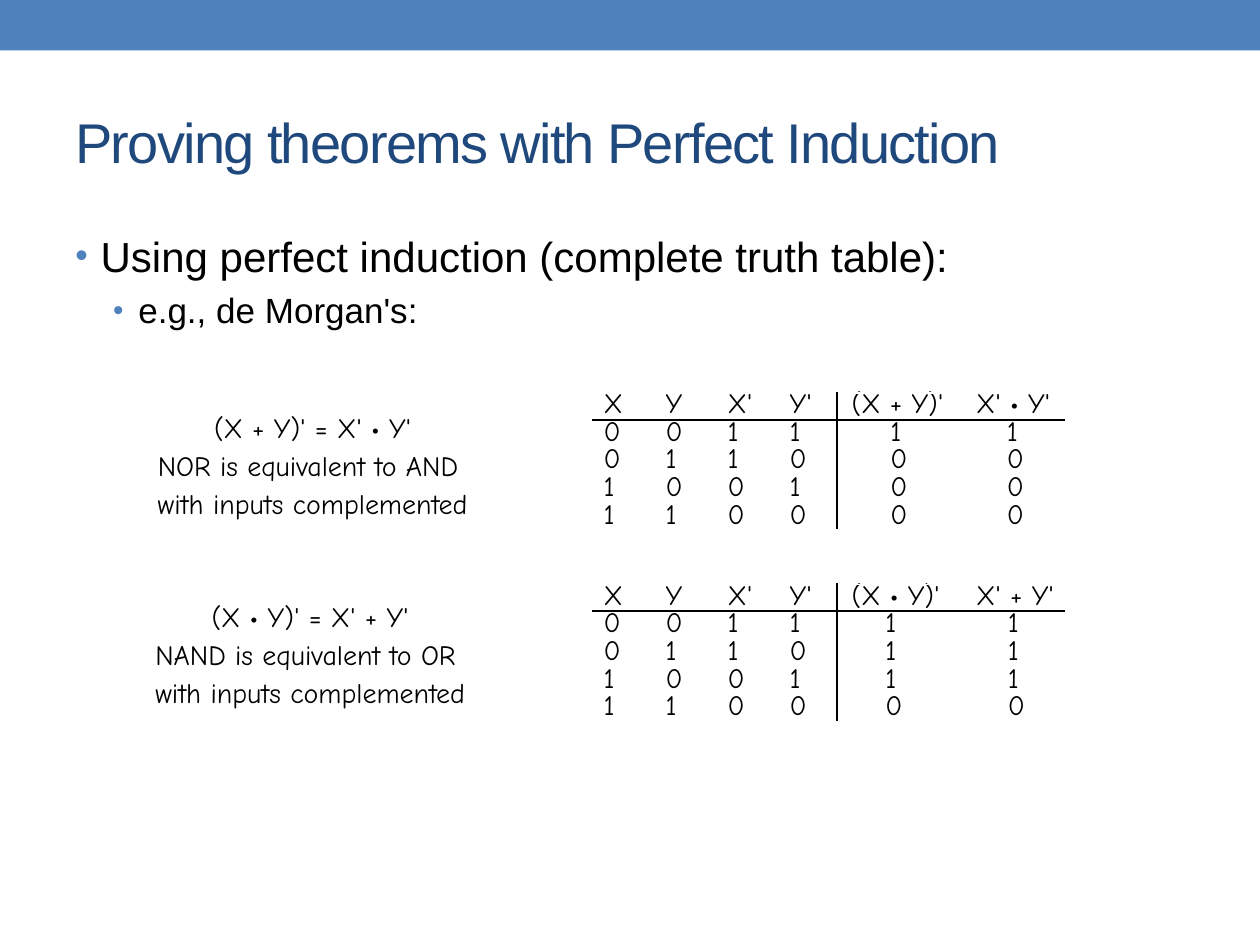
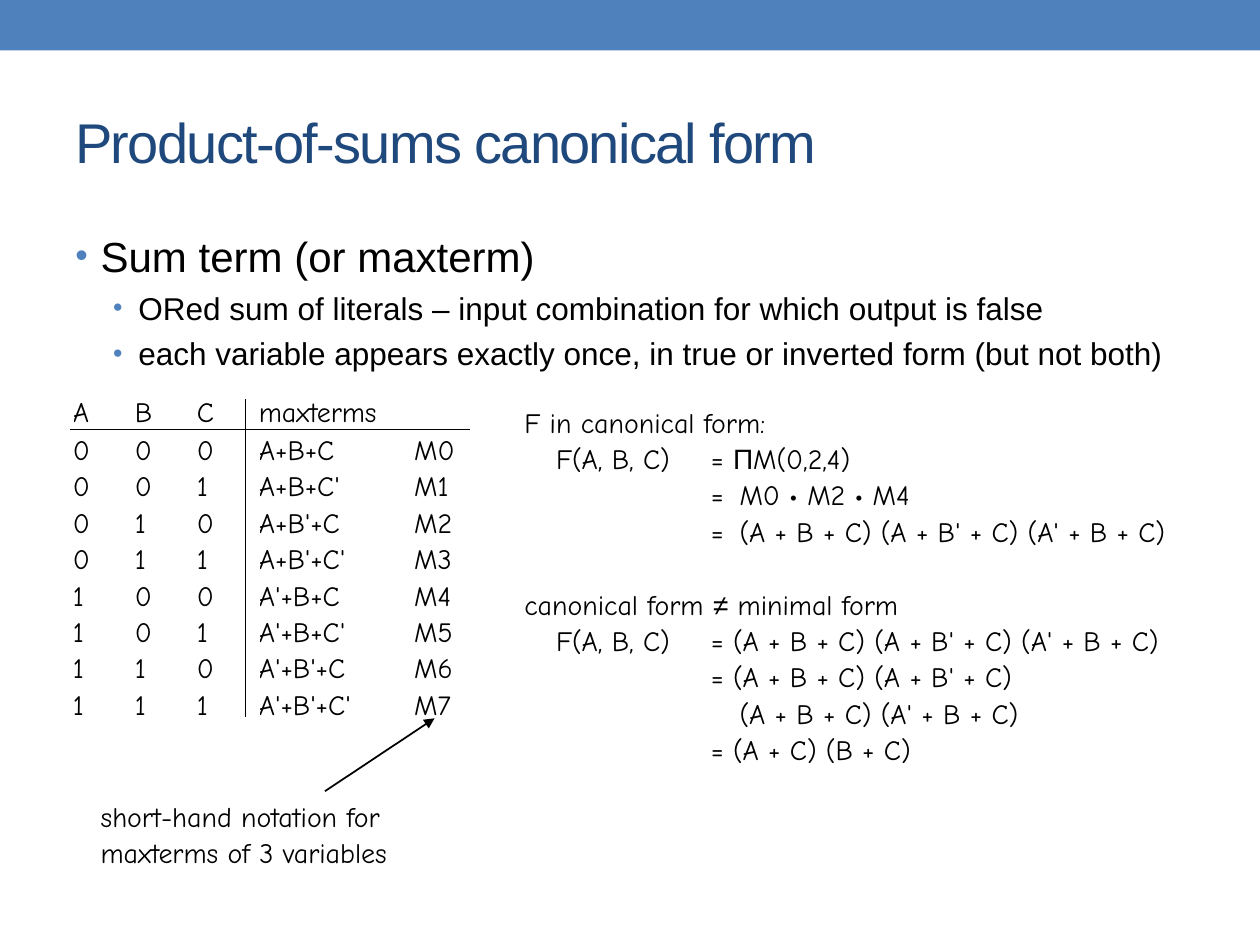
import itertools

import pptx
import pptx.dml.color
import pptx.enum.shapes
import pptx.enum.text
import pptx.oxml.ns
import pptx.util
from lxml import etree

Cm, Pt = pptx.util.Cm, pptx.util.Pt
ALIGN = pptx.enum.text.PP_ALIGN
ANCHOR = pptx.enum.text.MSO_ANCHOR
qn = pptx.oxml.ns.qn


class Theme:
    blue, navy, black = "4F81BD", "1F497D", "000000"
    sans, hand = "Arial", "Comic Neue"
    title, lead, sub, small, note = 32, 24, 20, 18, 16
    rule = 1
    symbols = "Π≠"  # drawn in the sans face


def put(target, values):
    for name, value in values.items():
        setattr(target, name, value)


def rgb(code):
    return pptx.dml.color.RGBColor.from_string(code)


def add(parent, tag, **values):
    return etree.SubElement(parent, qn(tag), values)


class Deck:
    """Holds the style and the slide being built."""

    def __init__(self, theme):
        self.theme = theme
        self.show = pptx.Presentation()
        put(self.show, {"slide_width": Cm(25.4), "slide_height": Cm(19.05)})
        self.slide = None

    def page(self, title, bullets):
        self.slide = self.show.slides.add_slide(self.show.slide_layouts[6])
        self.band()
        self.title(title)
        self.bullets(bullets)

    def band(self):
        kind = pptx.enum.shapes.MSO_SHAPE.RECTANGLE
        bar = self.slide.shapes.add_shape(kind, 0, 0, Cm(25.4), Cm(1.02))
        bar.shadow.inherit = False
        bar.fill.solid()
        bar.fill.fore_color.rgb = rgb(self.theme.blue)
        bar.line.fill.background()

    def frame(self, left, top, width, height, **values):
        box = self.slide.shapes.add_textbox(Cm(left), Cm(top), Cm(width), Cm(height))
        put(box.text_frame, {"word_wrap": True, **values})
        return box.text_frame

    def run(self, para, text, size, color, face):
        part = para.add_run()
        part.text = text
        put(part.font, {"size": Pt(size), "name": face})
        part.font.color.rgb = rgb(color)
        return part

    def title(self, text):
        frame = self.frame(1.27, 1.47, 22.86, 2.74, vertical_anchor=ANCHOR.MIDDLE)
        look = self.theme
        part = self.run(frame.paragraphs[0], text, look.title, look.navy, look.sans)
        part.font._element.set("spc", "-100")

    def bullets(self, items):
        frame = self.frame(1.27, 4.52, 22.86, 13.5)
        look = self.theme
        for index, (level, size, text) in enumerate(items):
            para = frame.add_paragraph() if index else frame.paragraphs[0]
            para.level = level
            if index:
                para.space_before = Pt(4.5)
            props = para._p.get_or_add_pPr()
            props.set("marL", str(Cm(0.51 + 0.76 * level)))
            props.set("indent", str(-Cm(0.51)))
            add(add(props, "a:buClr"), "a:srgbClr", val=look.blue)
            add(props, "a:buSzPct", val="85000")
            add(props, "a:buFont", typeface=look.sans)
            add(props, "a:buChar", char="•")
            self.run(para, text, size, look.black, look.sans)

    def letter(self, para, text, pitch):
        """One hand-lettered line, with its symbols in the sans face."""
        look = self.theme
        para.line_spacing = Pt(pitch)
        for plain, chars in itertools.groupby(text, lambda c: c not in look.symbols):
            face = look.hand if plain else look.sans
            self.run(para, "".join(chars), look.note, look.black, face)

    def note(self, place, texts, pitch, align=ALIGN.LEFT, stops=(), gaps=()):
        """A note; the lines listed in gaps get an empty line's space before."""
        side, edge = Cm(0.05), Cm(0.08)
        frame = self.frame(*place, word_wrap=False, margin_left=side,
                           margin_right=side, margin_top=edge, margin_bottom=edge)
        for index, text in enumerate(texts):
            para = frame.add_paragraph() if index else frame.paragraphs[0]
            para.alignment = align
            if index in gaps:
                para.space_before = Pt(pitch)
            if stops:
                tabs = add(para._p.get_or_add_pPr(), "a:tabLst")
                for stop in stops:
                    add(tabs, "a:tab", pos=str(Cm(stop)), algn="l")
            self.letter(para, text, pitch)

    def grid(self, left, top, widths, rows, pitch, insets):
        """A plain table; insets maps a column to the indent of its values."""
        shape = self.slide.shapes.add_table(
            len(rows), len(widths), Cm(left), Cm(top),
            Cm(sum(widths)), Pt(pitch * len(rows)))
        table = shape.table
        put(table, {"first_row": False, "horz_banding": False})
        for col, width in zip(table.columns, widths):
            col.width = Cm(width)
        for r, row in enumerate(rows):
            table.rows[r].height = Pt(pitch)
            for c, value in enumerate(row):
                cell = table.cell(r, c)
                cell.fill.background()
                inset = insets.get(c, 0) if r else 0
                put(cell, {"margin_left": Cm(inset), "margin_right": 0,
                           "margin_top": 0, "margin_bottom": 0})
                self.letter(cell.text_frame.paragraphs[0], str(value), pitch)

    def line(self, x1, y1, x2, y2, arrow=False):
        kind = pptx.enum.shapes.MSO_CONNECTOR.STRAIGHT
        rule = self.slide.shapes.add_connector(kind, Cm(x1), Cm(y1), Cm(x2), Cm(y2))
        rule.line.width = Pt(self.theme.rule)
        rule.line.color.rgb = rgb(self.theme.black)
        if arrow:
            add(rule.line._get_or_add_ln(), "a:tailEnd", type="triangle")
        add(rule._element.spPr, "a:effectLst")


def induction(deck):
    look = deck.theme
    deck.page("Proving theorems with Perfect Induction", [
        (0, look.lead, "Using perfect induction (complete truth table):"),
        (1, look.sub, "e.g., de Morgan's:"),
    ])
    # Each law: both sides, gate names, truth function, value indents
    laws = [
        ("(X + Y)'", "X' • Y'", "NOR", "AND",
         lambda x, y: 1 - (x | y), {4: 0.78, 5: 0.62}),
        ("(X • Y)'", "X' + Y'", "NAND", "OR",
         lambda x, y: 1 - (x & y), {4: 0.68, 5: 0.64}),
    ]
    for index, (left, right, gate, other, rule, insets) in enumerate(laws):
        deck.note((1.9 - 0.05 * index, 8.1 + 3.81 * index, 8.81, 3.35), [
            f"{left} = {right}",
            f"{gate} is equivalent to {other} ",
            "with inputs complemented",
        ], 21.8, ALIGN.CENTER)
        rows = [["X", "Y", "X'", "Y'", left, right]]
        for x, y in itertools.product((0, 1), repeat=2):
            rows.append([x, y, 1 - x, 1 - y, rule(x, y), rule(x, y)])
        top = 7.92 + 3.86 * index
        deck.grid(12.17, top, [1.25] * 4 + [2.51, 2], rows, 15.8, insets)
        deck.line(11.94, top + 0.54, 21.46, top + 0.54)
        deck.line(16.87, top - 0.02, 16.87, top + 2.75)


def maxterms(deck):
    look = deck.theme
    deck.page("Product-of-sums canonical form", [
        (0, look.lead, "Sum term (or maxterm)"),
        (1, look.small, "ORed sum of literals – input combination for which output is false"),
        (1, look.small, "each variable appears exactly once, in true or inverted form "
                        "(but not both)"),
    ])
    # Table of maxterms
    rows = [["A", "B", "C", "maxterms", ""]]
    for index, bits in enumerate(itertools.product((0, 1), repeat=3)):
        term = "+".join(name + "'" * bit for name, bit in zip("ABC", bits))
        rows.append([*bits, term, f"M{index}"])
    deck.grid(1.47, 7.92, [1.25] * 3 + [3.13, 1.13], rows, 20.8, {})
    deck.line(1.42, 8.66, 9.47, 8.66)
    deck.line(4.95, 8.05, 4.95, 14.45)

    # Note on the short names
    deck.note((1.98, 15.98, 7.21, 1.8),
              ["short-hand notation for", "maxterms of 3 variables"], 20.8)
    deck.line(6.55, 15.95, 8.76, 14.48, arrow=True)

    # Canonical and minimal forms
    deck.note((10.52, 8.03, 14.88, 7.67), [
        "F in canonical form:",
        "\tF(A, B, C)\t= ΠM(0,2,4)",
        "\t\t=\tM0 • M2 • M4",
        "\t\t=\t(A + B + C) (A + B' + C) (A' + B + C)",
        "canonical form ≠ minimal form",
        "\tF(A, B, C)\t= (A + B + C) (A + B' + C) (A' + B + C)",
        "\t\t= (A + B + C) (A + B' + C)",
        "\t\t\t(A + B + C) (A' + B + C)",
        "\t\t= (A + C) (B + C)",
    ], 20.8, stops=(0.64, 3.76, 4.34), gaps=(4,))


def main():
    deck = Deck(Theme())
    induction(deck)
    maxterms(deck)
    deck.show.save("out.pptx")


if __name__ == "__main__":
    main()
